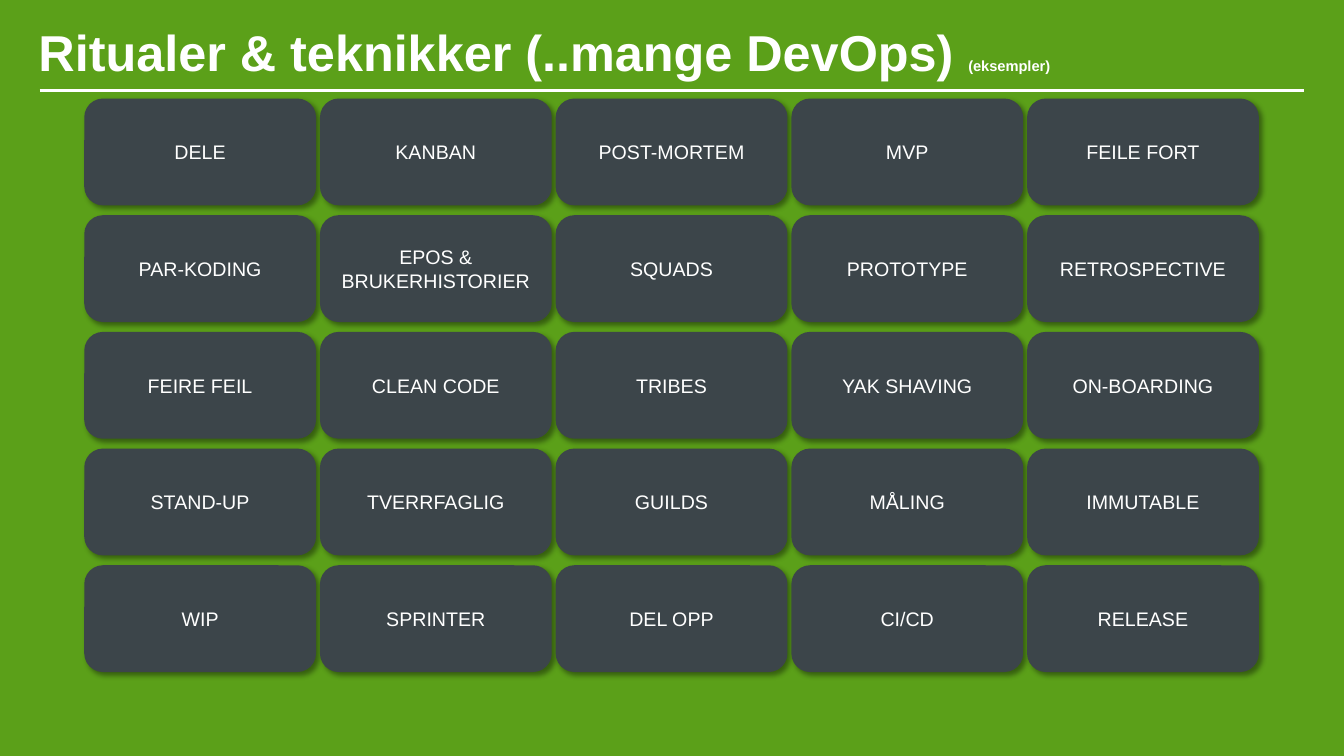
from lxml.etree import SubElement
from pptx import Presentation
from pptx.dml.color import RGBColor
from pptx.enum.shapes import MSO_CONNECTOR as Connector, MSO_SHAPE as Shape
from pptx.enum.text import MSO_ANCHOR as Anchor, MSO_AUTO_SIZE as AutoSize, PP_ALIGN as Align
from pptx.oxml.ns import qn
from pptx.util import Cm, Pt

# Content
TITLE = [("Ritualer & teknikker (..mange DevOps) ", 36), ("(eksempler)", 10.5)]
PRACTICES = [
    ["DELE", "KANBAN", "POST-MORTEM", "MVP", "FEILE FORT"],
    ["PAR-KODING", "EPOS & BRUKERHISTORIER", "SQUADS", "PROTOTYPE", "RETROSPECTIVE"],
    ["FEIRE FEIL", "CLEAN CODE", "TRIBES", "YAK SHAVING", "ON-BOARDING"],
    ["STAND-UP", "TVERRFAGLIG", "GUILDS", "MÅLING", "IMMUTABLE"],
    ["WIP", "SPRINTER", "DEL OPP", "CI/CD", "RELEASE"],
]

# Look
GREEN = RGBColor(0x5B, 0xA0, 0x19)
SLATE = RGBColor(0x3C, 0x45, 0x4A)
WHITE = RGBColor(0xFF, 0xFF, 0xFF)
FONT = "Arial"

# Card grid, in centimetres
LEFT, TOP = 2.16, 2.52
WIDTH, HEIGHT = 5.77, 2.62
COLUMN_STEP, ROW_STEP = 5.94, 2.94


def add_span(para, text, size, bold=False):
    span = para.add_run()
    span.text = text
    span.font.name = FONT
    span.font.size = Pt(size)
    span.font.bold = bold
    span.font.color.rgb = WHITE


def add_shadow(card):
    card.shadow.inherit = False
    effects = card._element.spPr.find(qn("a:effectLst"))
    shadow = SubElement(effects, qn("a:outerShdw"), blurRad=str(Pt(4)), dist=str(Pt(3)),
                        dir="2700000", algn="tl", rotWithShape="0")
    color = SubElement(shadow, qn("a:srgbClr"), val="000000")
    SubElement(color, qn("a:alpha"), val="40000")


def add_card(page, text, row, column):
    card = page.shapes.add_shape(
        Shape.ROUNDED_RECTANGLE, Cm(LEFT + column * COLUMN_STEP),
        Cm(TOP + row * ROW_STEP), Cm(WIDTH), Cm(HEIGHT))
    card.fill.solid()
    card.fill.fore_color.rgb = SLATE
    card.line.color.rgb = SLATE
    card.line.width = Pt(2)
    add_shadow(card)
    frame = card.text_frame
    frame.word_wrap = True
    frame.vertical_anchor = Anchor.MIDDLE
    para = frame.paragraphs[0]
    para.alignment = Align.CENTER
    add_span(para, text, 14)


# Page
deck = Presentation()
deck.slide_width, deck.slide_height = Cm(33.87), Cm(19.05)
page = deck.slides.add_slide(deck.slide_layouts[5])
page.background.fill.solid()
page.background.fill.fore_color.rgb = GREEN

# Title
title = page.shapes.title
title.left, title.top, title.width, title.height = Cm(0.97), Cm(0.58), Cm(31.93), Cm(1.7)
frame = title.text_frame
frame.margin_left = frame.margin_top = frame.margin_right = frame.margin_bottom = 0
frame.word_wrap = True
frame.auto_size = AutoSize.NONE
frame.vertical_anchor = Anchor.MIDDLE
para = frame.paragraphs[0]
para.alignment = Align.LEFT
para.line_spacing = 0.83
for text, size in TITLE:
    add_span(para, text, size, bold=True)

# Rule under the title
rule = page.shapes.add_connector(Connector.STRAIGHT, Cm(1), Cm(2.29), Cm(32.87), Cm(2.29))
rule.line.color.rgb = WHITE
rule.line.width = Pt(2)
SubElement(rule._element.spPr, qn("a:effectLst"))

# Cards
for row, names in enumerate(PRACTICES):
    for column, name in enumerate(names):
        add_card(page, name, row, column)

deck.save("out.pptx")
